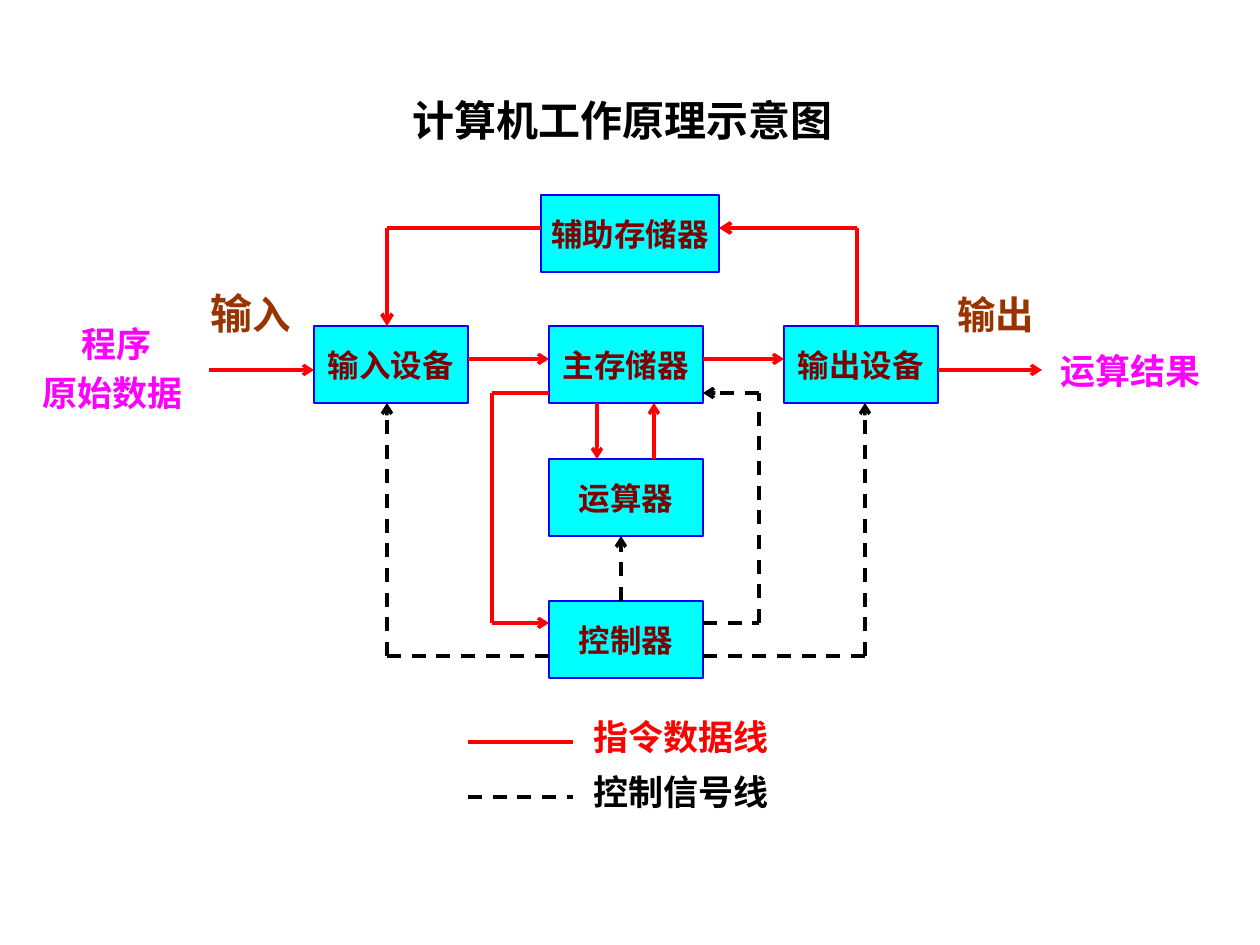
import itertools
from dataclasses import dataclass

import pptx
import pptx.dml.color
import pptx.enum.dml
import pptx.enum.lang
import pptx.enum.shapes
import pptx.enum.text
import pptx.util
from lxml import etree
from pptx.oxml.ns import qn

PX = 914400 / 126
ALIGN = pptx.enum.text.PP_ALIGN
ANCHOR = pptx.enum.text.MSO_ANCHOR


@dataclass(frozen=True)
class Theme:
    heading_font: str = "Noto Sans CJK SC"
    body_font: str = "Times New Roman"
    black: str = "000000"
    data: str = "FF0000"
    device_fill: str = "00FFFF"
    device_line: str = "0000FF"
    device_text: str = "800000"
    stage: str = "993300"
    content: str = "FF00FF"
    title_size: int = 24
    stage_size: int = 22
    label_size: int = 20
    device_size: int = 18
    line_width: float = 2
    storage_width: float = 2.25


THEME = Theme()

DEVICE_WIDTH, DEVICE_HEIGHT = 154, 77
DEVICES = [  # name, left, top, width
    ("输入设备", 314, 326, DEVICE_WIDTH),
    ("主存储器", 549, 326, DEVICE_WIDTH),
    ("辅助存储器", 541, 195, 178),
    ("输出设备", 784, 326, DEVICE_WIDTH),
    ("运算器", 549, 459, DEVICE_WIDTH),
    ("控制器", 549, 601, DEVICE_WIDTH),
]

# Each route runs through its points and ends in an arrowhead.
DATA_ROUTES = [
    [(209, 370), (314, 370)],
    [(468, 359), (549, 359)],
    [(703, 359), (784, 359)],
    [(938, 370), (1042, 370)],
    [(597, 403), (597, 459)],
    [(654, 459), (654, 403)],
    [(549, 393), (492, 393), (492, 623), (549, 623)],
]
STORAGE_ROUTES = [
    [(857, 326), (857, 228), (719, 228)],
    [(541, 228), (387, 228), (387, 326)],
]
CONTROL_ROUTES = [
    [(703, 623), (759, 623), (759, 393), (703, 393)],
    [(703, 656), (865, 656), (865, 403)],
    [(549, 656), (387, 656), (387, 403)],
    [(621, 601), (621, 536)],
]

LEGEND = [  # meaning, line height, colour, dashed
    ("指令数据线", 742, THEME.data, False),
    ("控制信号线", 797, THEME.black, True),
]
LEGEND_LEFT, LEGEND_RIGHT = 468, 573

STAGES = [  # characters with their sizes, left, top, width, height
    ([("输", THEME.title_size), ("入", THEME.stage_size)], 198, 281, 106, 63),
    ([("输出", THEME.stage_size)], 945, 285, 103, 59),
]


def emu(*lengths):
    return [round(length * PX) for length in lengths]


def rgb(colour):
    return pptx.dml.color.RGBColor.from_string(colour)


def style(run, size, colour, font=THEME.body_font):
    run.font.size = pptx.util.Pt(size)
    run.font.bold = True
    run.font.name = font
    run.font.color.rgb = rgb(colour)
    run.font.language_id = pptx.enum.lang.MSO_LANGUAGE_ID.SIMPLIFIED_CHINESE


def add_label(slide, paragraphs, place, colour, font=THEME.body_font, anchor=ANCHOR.TOP):
    """Add a text box; a paragraph is an alignment and its (text, size) runs."""
    frame = slide.shapes.add_textbox(*emu(*place)).text_frame
    frame.word_wrap = True
    frame.vertical_anchor = anchor
    for index, (alignment, pieces) in enumerate(paragraphs):
        paragraph = frame.add_paragraph() if index else frame.paragraphs[0]
        paragraph.alignment = alignment
        if index:
            paragraph.space_before = pptx.util.Pt(4)
        for text, size in pieces:
            run = paragraph.add_run()
            run.text = text
            style(run, size, colour, font)


def add_device(slide, name, left, top, width):
    device = slide.shapes.add_shape(
        pptx.enum.shapes.MSO_SHAPE.RECTANGLE, *emu(left, top, width, DEVICE_HEIGHT))
    device.shadow.inherit = False
    device.fill.solid()
    device.fill.fore_color.rgb = rgb(THEME.device_fill)
    device.line.color.rgb = rgb(THEME.device_line)
    device.line.width = pptx.util.Pt(0.75)
    frame = device.text_frame
    frame.word_wrap = False
    frame.vertical_anchor = ANCHOR.MIDDLE
    frame.text = name
    frame.paragraphs[0].alignment = ALIGN.CENTER
    style(frame.paragraphs[0].runs[0], THEME.device_size, THEME.device_text)


def add_line(slide, start, end, colour, dashed, width=THEME.line_width, arrow=False):
    line = slide.shapes.add_connector(
        pptx.enum.shapes.MSO_CONNECTOR.STRAIGHT, *emu(*start, *end))
    line.line.color.rgb = rgb(colour)
    line.line.width = pptx.util.Pt(width)
    if dashed:
        line.line.dash_style = pptx.enum.dml.MSO_LINE.DASH
    properties = line.element.spPr
    if arrow:
        etree.SubElement(properties.find(qn("a:ln")), qn("a:tailEnd"), type="arrow")
    etree.SubElement(properties, qn("a:effectLst"))


def add_route(slide, points, colour, dashed, width=THEME.line_width):
    for start, end in itertools.pairwise(points):
        add_line(slide, start, end, colour, dashed, width, arrow=end == points[-1])


def main():
    deck = pptx.Presentation()
    deck.slide_width, deck.slide_height = emu(1260, 945)
    slide = deck.slides.add_slide(deck.slide_layouts[6])

    add_label(slide, [(ALIGN.LEFT, [("计算机工作原理示意图", THEME.title_size)])],
              (400, 68, 922, 103), THEME.black, THEME.heading_font, ANCHOR.MIDDLE)
    for device in DEVICES:
        add_device(slide, *device)
    for points in DATA_ROUTES:
        add_route(slide, points, THEME.data, False)
    for points in STORAGE_ROUTES:
        add_route(slide, points, THEME.data, False, THEME.storage_width)
    for points in CONTROL_ROUTES:
        add_route(slide, points, THEME.black, True)

    for pieces, *place in STAGES:
        add_label(slide, [(ALIGN.LEFT, pieces)], place, THEME.stage)
    add_label(slide, [(ALIGN.CENTER, [("程序", THEME.label_size)]),
                      (ALIGN.LEFT, [("原始数据", THEME.label_size)])],
              (30, 316, 173, 108), THEME.content)
    add_label(slide, [(ALIGN.LEFT, [("运算结果", THEME.label_size)])],
              (1048, 343, 224, 54), THEME.content)

    for meaning, height, colour, dashed in LEGEND:
        add_line(slide, (LEGEND_LEFT, height), (LEGEND_RIGHT, height), colour, dashed)
        add_label(slide, [(ALIGN.LEFT, [(meaning, THEME.label_size)])],
                  (LEGEND_RIGHT + 8, height - 33, 202, 58), colour)

    deck.save("out.pptx")


if __name__ == "__main__":
    main()
